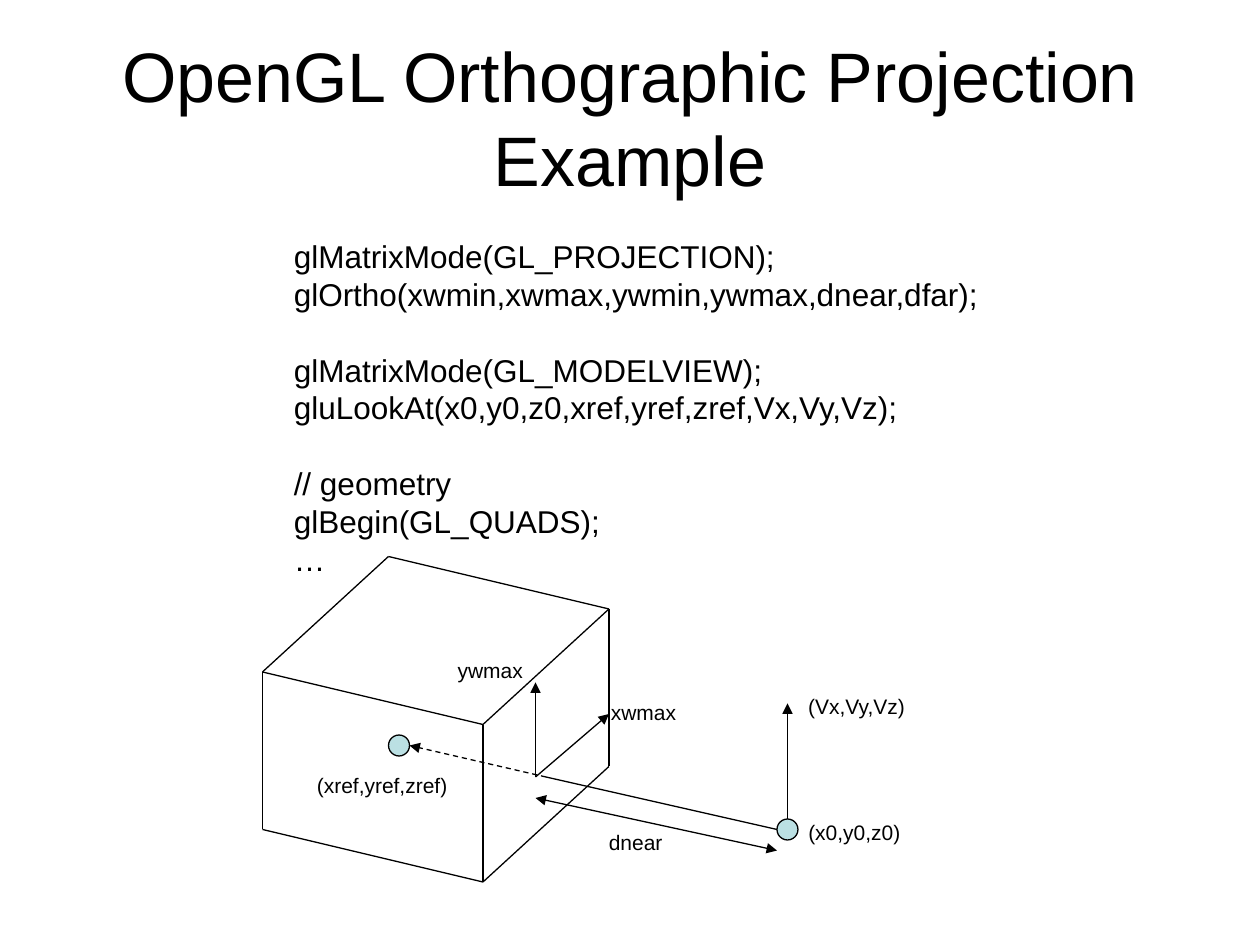
from lxml.etree import SubElement
from pptx import Presentation
from pptx.dml.color import RGBColor
from pptx.enum.dml import MSO_LINE
from pptx.enum.shapes import MSO_CONNECTOR, MSO_SHAPE
from pptx.enum.text import MSO_ANCHOR, MSO_AUTO_SIZE, PP_ALIGN
from pptx.oxml.ns import qn
from pptx.util import Pt

PX = 7620  # EMU, 120 px to the inch
BLACK = RGBColor(0x00, 0x00, 0x00)
PALE_BLUE = RGBColor(0xBB, 0xE0, 0xE3)
FONT = "Arial"
CODE_SIZE = 18
LABEL_SIZE = 12
BLANK_LINE = Pt(21.6)

deck = Presentation()
deck.slide_width, deck.slide_height = 1200 * PX, 900 * PX
page = deck.slides.add_slide(deck.slide_layouts[5])


def add_text(left, top, width, height, lines, size):
    """Add an unwrapped text box with one paragraph per line."""
    box = page.shapes.add_textbox(left * PX, top * PX, width * PX, height * PX)
    frame = box.text_frame
    frame.word_wrap = False
    frame.auto_size = MSO_AUTO_SIZE.SHAPE_TO_FIT_TEXT
    frame.text = "\n".join(lines)
    for para in frame.paragraphs:
        para.font.name, para.font.size = FONT, Pt(size)
        para.font.color.rgb = BLACK
    return frame


def add_line(start, end, arrows=(), dash=None):
    """Connect two points; arrows lists the ends, headEnd being the start."""
    x1, y1, x2, y2 = (value * PX for value in (*start, *end))
    line = page.shapes.add_connector(MSO_CONNECTOR.STRAIGHT, x1, y1, x2, y2)
    line.line.color.rgb = BLACK
    line.line.width = Pt(0.75)
    if dash:
        line.line.dash_style = dash
    properties = line._element.spPr
    for arrow in arrows:
        SubElement(properties.find(qn("a:ln")), qn(f"a:{arrow}"), type="triangle")
    SubElement(properties, qn("a:effectLst"))


# Title
title = page.shapes.title
title.left, title.top, title.width, title.height = 60 * PX, 24 * PX, 1080 * PX, 173 * PX
frame = title.text_frame
frame.text = "OpenGL Orthographic Projection Example"
frame.word_wrap = True
frame.auto_size = MSO_AUTO_SIZE.NONE
frame.vertical_anchor = MSO_ANCHOR.MIDDLE
para = frame.paragraphs[0]
para.alignment = PP_ALIGN.CENTER
para.font.name, para.font.size = FONT, Pt(40)
para.font.color.rgb = BLACK

# Code, in three groups
code = add_text(268, 220, 677, 336, [
    "glMatrixMode(GL_PROJECTION);",
    "glOrtho(xwmin,xwmax,ywmin,ywmax,dnear,dfar);",
    "glMatrixMode(GL_MODELVIEW);",
    "gluLookAt(x0,y0,z0,xref,yref,zref,Vx,Vy,Vz);",
    "// geometry",
    "glBegin(GL_QUADS);",
    "…",
], CODE_SIZE)
for group_start in (2, 4):
    code.paragraphs[group_start].space_before = BLANK_LINE

# View volume: the near face, and the visible edges of the far face
near = [(460, 690), (580, 580), (580, 730), (460, 840)]
far = [(x - 210, y - 50) for x, y in near]
for corner in range(4):
    add_line(near[corner], near[corner - 1])
for corner in (0, 1, 3):
    add_line(far[corner], near[corner])
add_line(far[0], far[1])
add_line(far[0], far[3])

# View direction, up vector, window axes and near distance
window_centre = (510, 740)
add_line((740, 790), (520, 740))
add_line((520, 740), (390, 710), ["tailEnd"], MSO_LINE.DASH)
add_line((750, 790), (750, 670), ["tailEnd"])
add_line(window_centre, (580, 680), ["tailEnd"])
add_line(window_centre, (510, 650), ["tailEnd"])
add_line((510, 760), (740, 810), ["headEnd", "tailEnd"])

# Reference point and eye point
for left, top in [(370, 700), (740, 780)]:
    point = page.shapes.add_shape(MSO_SHAPE.OVAL, left * PX, top * PX, 20 * PX, 20 * PX)
    point.shadow.inherit = False
    point.fill.solid()
    point.fill.fore_color.rgb = PALE_BLUE
    point.line.color.rgb = BLACK
    point.line.width = Pt(0.75)

labels = [
    ("(x0,y0,z0)", 758, 775, 112),
    ("(Vx,Vy,Vz)", 758, 655, 118),
    ("(xref,yref,zref)", 290, 730, 150),
    ("xwmax", 570, 660, 87),
    ("ywmax", 424, 620, 87),
    ("dnear", 568, 784, 76),
]
for text, left, top, width in labels:
    add_text(left, top, width, 36, [text], LABEL_SIZE)

deck.save("out.pptx")
